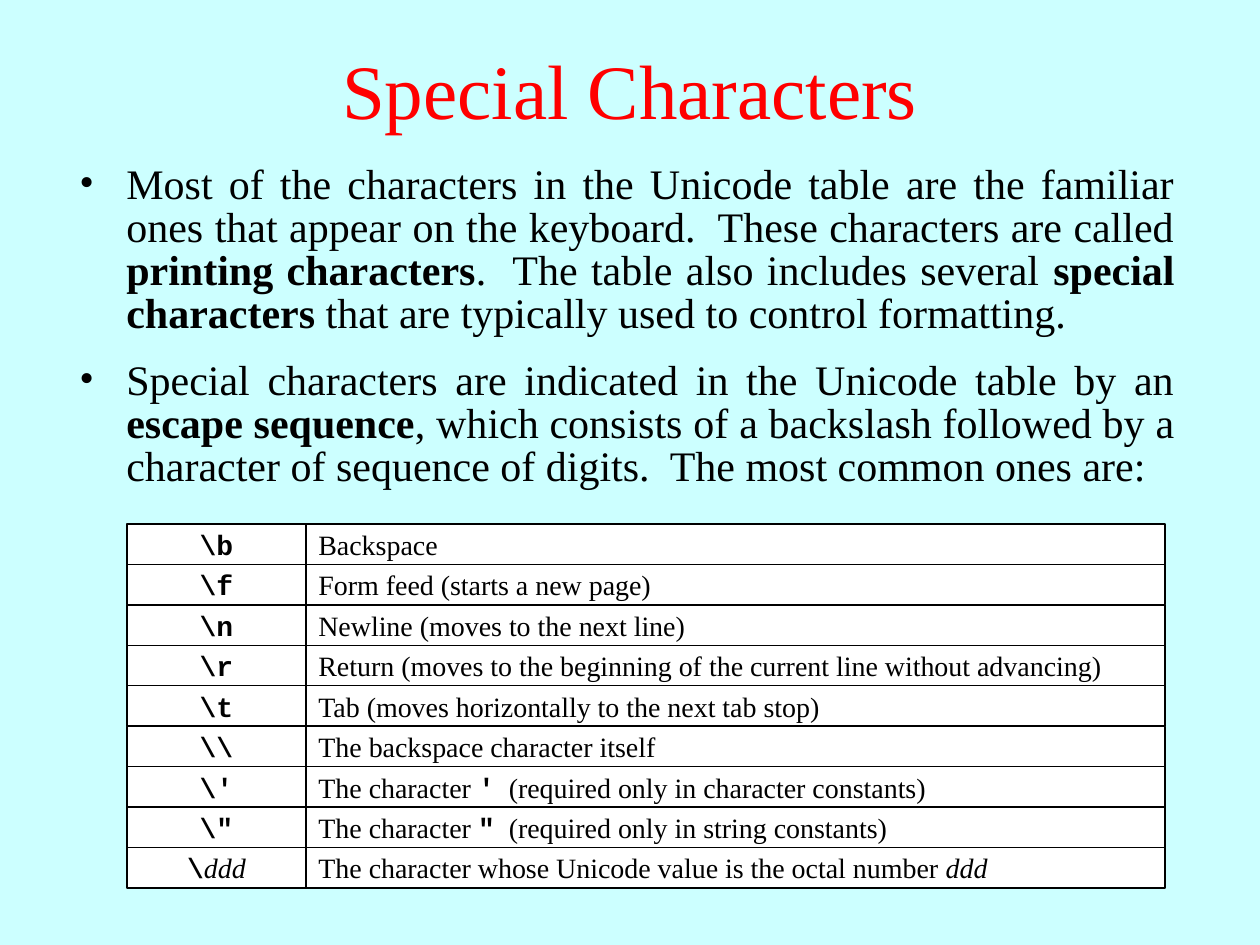
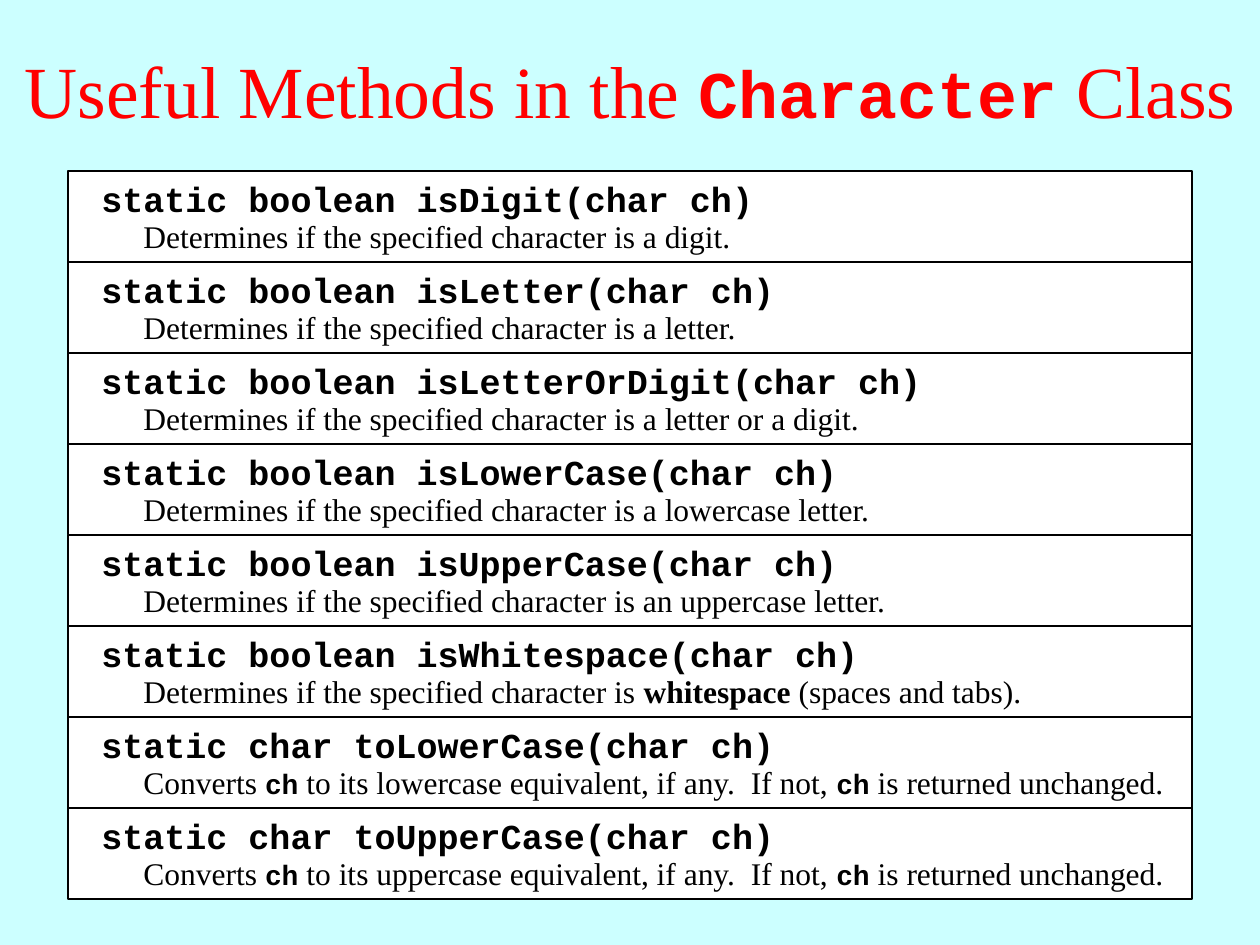
"""Build two slides on special characters and the Character class."""
from lxml import etree
from pptx import Presentation
from pptx import util as u
from pptx.dml.color import RGBColor
from pptx.enum import shapes, text
from pptx.oxml.ns import qn

BACK, RED, BLACK, WHITE = "CCFFFF", "FF0000", "000000", "FFFFFF"
SERIF, MONO = "Times New Roman", "Courier New"
SCALE = 914400 / 126
WIDE, HIGH = 1260, 945
EDGE = 0.75
MID, LEFT = text.PP_ALIGN.CENTER, text.PP_ALIGN.LEFT

BOLD = {"bold": True}
ITAL = {"italic": True}
CODE = {"name": MONO, "bold": True}
SMALL = {**CODE, "size": 16}
HEAD = {"name": SERIF, "size": 44, "color": RED}
BODY = {"name": SERIF, "size": 24, "color": BLACK}
CELL = {**BODY, "size": 16}
SIGN = {**BODY, **CODE, "size": 20}
NOTE = {**BODY, "size": 18}

POINTS = [
    (159, 261, [
        "Most of the characters in the Unicode table are the familiar ones that "
        "appear on the keyboard.  These characters are called ",
        ("printing characters", BOLD),
        ".  The table also includes several ",
        ("special characters", BOLD),
        " that are typically used to control formatting."]),
    (355, 168, [
        "Special characters are indicated in the Unicode table by an ",
        ("escape sequence", BOLD),
        ", which consists of a backslash followed by a character of sequence "
        "of digits.  The most common ones are:"]),
]

ESCAPES = [
    (["\\b"], ["Backspace"]),
    (["\\f"], ["Form feed (starts a new page)"]),
    (["\\n"], ["Newline (moves to the next line)"]),
    (["\\r"], ["Return (moves to the beginning of the current line without advancing)"]),
    (["\\t"], ["Tab (moves horizontally to the next tab stop)"]),
    (["\\\\"], ["The backspace character itself"]),
    (["\\'"], ["The character ", ("'", CODE),
               "  (required only in character constants)"]),
    (["\\\""], ["The character ", ("\"", CODE),
                "  (required only in string constants)"]),
    (["\\", ("ddd", {"name": SERIF, "bold": False, **ITAL})],
     ["The character whose Unicode value is the octal number ", ("ddd", ITAL)]),
]
COLS = [(127, 179, {**CELL, **CODE}, MID), (306, 859, CELL, LEFT)]

TITLE = ["Useful Methods in the ", ("Character", {**CODE, "size": 38}), " Class"]
TESTS = [
    ("isDigit", ["a digit."]),
    ("isLetter", ["a letter."]),
    ("isLetterOrDigit", ["a letter or a digit."]),
    ("isLowerCase", ["a lowercase letter."]),
    ("isUpperCase", ["an uppercase letter."]),
    ("isWhitespace", [("whitespace", BOLD), " (spaces and tabs)."]),
]
METHODS = [(f"static boolean {name}(char ch)",
            ["Determines if the specified character is ", *rest])
           for name, rest in TESTS]
METHODS[-1][1][0] = "Determines if the specified character is "
METHODS += [(f"static char to{kind}Case(char ch)",
             ["Converts ", ("ch", SMALL),
              f" to its {kind.lower()}case equivalent, if any.  If not, ",
              ("ch", SMALL), " is returned unchanged."])
            for kind in ("Lower", "Upper")]


def px(*vals):
    return [u.Emu(round(v * SCALE)) for v in vals]


def rgb(code):
    return RGBColor.from_string(code)


def paint(fill, code):
    fill.solid()
    fill.fore_color.rgb = rgb(code)


def write(para, runs, base, **form):
    for key, val in form.items():
        setattr(para, key, val)
    for part in runs:
        words, extra = (part, {}) if isinstance(part, str) else part
        run = para.add_run()
        run.text = words
        for key, val in {**base, **extra}.items():
            if key == "color":
                run.font.color.rgb = rgb(val)
            else:
                setattr(run.font, key, u.Pt(val) if key == "size" else val)


def add_text(slide, box, runs, base, anchor=text.MSO_ANCHOR.TOP, **form):
    frame = slide.shapes.add_textbox(*px(*box)).text_frame
    frame.word_wrap = True
    frame.vertical_anchor = anchor
    para = frame.paragraphs[0]
    write(para, runs, base, **form)
    return para


def add_slide(deck, title, size):
    slide = deck.slides.add_slide(deck.slide_layouts[6])
    paint(slide.background.fill, BACK)
    add_text(slide, (0, 10, WIDE, 158), title, {**HEAD, "size": size},
             text.MSO_ANCHOR.MIDDLE, alignment=MID)
    return slide


def add_bullet(para, hang):
    props = para._p.get_or_add_pPr()
    step = px(hang)[0]
    props.set("marL", str(step))
    props.set("indent", str(-step))
    tint = etree.SubElement(props, qn("a:buClr"))
    etree.SubElement(tint, qn("a:srgbClr"), val=BLACK)
    etree.SubElement(props, qn("a:buFont"), typeface=SERIF)
    etree.SubElement(props, qn("a:buChar"), char="•")


def add_card(slide, *box):
    card = slide.shapes.add_shape(shapes.MSO_SHAPE.RECTANGLE, *px(*box))
    card.shadow.inherit = False
    paint(card.fill, WHITE)
    paint(card.line.fill, BLACK)
    card.line.width = u.Pt(EDGE)
    return card


def add_grid(slide, top, high):
    step = high / len(ESCAPES)
    for row, parts in enumerate(ESCAPES):
        for runs, (left, wide, base, align) in zip(parts, COLS):
            frame = add_card(slide, left, top + row * step, wide, step).text_frame
            frame.word_wrap = False
            frame.vertical_anchor = text.MSO_ANCHOR.MIDDLE
            write(frame.paragraphs[0], runs, base, alignment=align)


def add_method(slide, top, high, sign, note):
    add_card(slide, 68, top, 1124, high)
    add_text(slide, (89, top, 1081, 55), [sign], SIGN)
    add_text(slide, (131, top + 40, 1050, 50), note, NOTE)


def main():
    deck = Presentation()
    deck.slide_width, deck.slide_height = px(WIDE, HIGH)

    slide = add_slide(deck, ["Special Characters"], 44)
    for top, high, runs in POINTS:
        para = add_text(slide, (67, top, 1120, high), runs, BODY,
                        alignment=text.PP_ALIGN.JUSTIFY,
                        line_spacing=0.85, space_after=u.Pt(15))
        add_bullet(para, 47)
    add_grid(slide, 524, 364)

    slide = add_slide(deck, TITLE, 42)
    step = 91
    for row, (sign, note) in enumerate(METHODS):
        add_method(slide, 171 + row * step, step, sign, note)
    deck.save("out.pptx")


if __name__ == "__main__":
    main()
